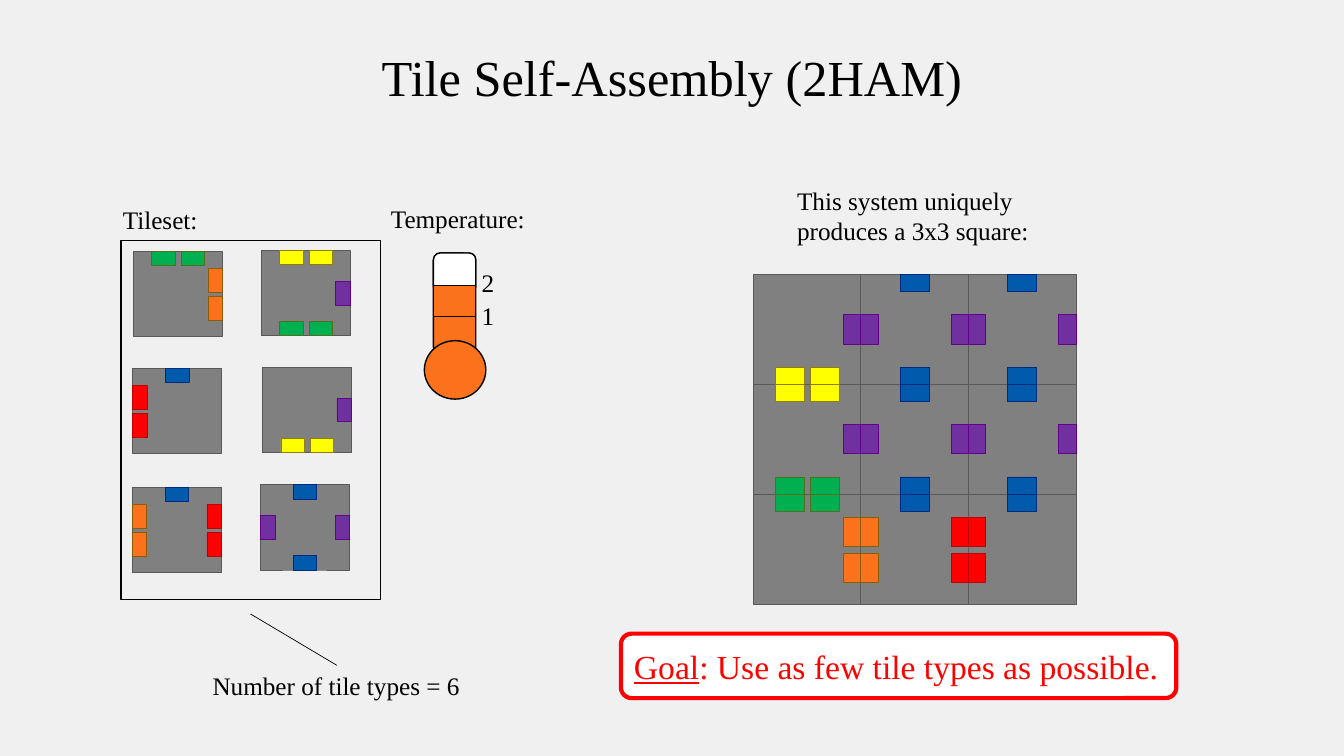
from lxml.etree import SubElement
from pptx import Presentation
from pptx.dml.color import RGBColor
from pptx.enum.shapes import MSO_CONNECTOR, MSO_SHAPE
from pptx.enum.text import MSO_ANCHOR, PP_ALIGN
from pptx.oxml.ns import qn
from pptx.util import Pt

FONT = "Times New Roman"
COLORS = {
    "back": "F0F0F0", "black": "000000", "white": "FFFFFF",
    "tile": "808080", "green": "00B050", "orange": "FC711C",
    "yellow": "FFFF00", "purple": "7030A0", "blue": "015AAB", "red": "FF0000",
}
EDGES = {
    "tile": "595959", "green": "536F1D", "orange": "8A5D02",
    "yellow": "8F7F08", "purple": "64018B", "blue": "002A7E", "red": "C00000",
}
TILES = {
    "corner": {"top": ("green", 2), "right": ("orange", 2)},
    "side": {"top": ("yellow", 2), "right": ("purple", 1), "bottom": ("green", 2)},
    "end": {"top": ("blue", 1), "left": ("red", 2)},
    "peak": {"right": ("purple", 1), "bottom": ("yellow", 2)},
    "base": {"top": ("blue", 1), "left": ("orange", 2), "right": ("red", 2)},
    "fill": {"top": ("blue", 1), "left": ("purple", 1),
             "right": ("purple", 1), "bottom": ("blue", 1)},
}
TILESET = [
    ("corner", 95.2, 179.5), ("side", 186.6, 178.9),
    ("end", 94.8, 263), ("peak", 187.4, 262.2),
    ("base", 94.5, 348), ("fill", 186.1, 346.2),
]
SQUARE = [
    ["peak", "fill", "fill"],
    ["side", "fill", "fill"],
    ["corner", "base", "end"],
]
SMALL = (63.6, 61, 10.3, 16.8)
LARGE = (76.9, 78.55, 12.4, 20.8)
ORIGIN = (538, 196)
SPOTS = {1: (0.5,), 2: (0.34, 0.67)}
LABELS = [
    ("Temperature:", 272.16, 141.84, 110.88, 28.8),
    ("2", 337, 187.2, 23.76, 28.8),
    ("1", 337, 210.96, 23.76, 28.8),
    ("Tileset:", 80.64, 142.56, 68.4, 28.8),
    ("This system uniquely\nproduces a 3x3 square:", 562.32, 128.88, 181.44, 51.12),
    ("Number of tile types = 6", 144.72, 475.2, 192.96, 28.8),
]
GAUGE = [
    (MSO_SHAPE.ROUNDED_RECTANGLE, 309.6, 180.72, 30.24, 72, "orange"),
    (MSO_SHAPE.OVAL, 303.12, 243.36, 43.92, 41.76, "orange"),
    (MSO_SHAPE.ROUNDED_RECTANGLE, 309.6, 180.72, 30.24, 28.8, "white"),
    (MSO_SHAPE.RECTANGLE, 309.6, 203.76, 30.24, 22.32, "orange"),
]
TITLE = ("Tile Self-Assembly (2HAM)", 0, 29.52, 960, 51.12)
GOAL = ("Goal", ": Use as few tile types as possible.")


def color(name):
    return RGBColor.from_string(name)


def draw(slide, kind, x, y, w, h, fill, edge, width):
    shape = slide.shapes.add_shape(kind, Pt(x), Pt(y), Pt(w), Pt(h))
    shape.shadow.inherit = False
    if fill:
        shape.fill.solid()
        shape.fill.fore_color.rgb = color(fill)
    else:
        shape.fill.background()
    shape.line.color.rgb = color(edge)
    shape.line.width = Pt(width)
    return shape


def style(run, size, name):
    run.font.name = FONT
    run.font.size = Pt(size)
    run.font.color.rgb = color(COLORS[name])


def label(slide, text, x, y, w, h, size=18, wrap=False):
    box = slide.shapes.add_textbox(Pt(x), Pt(y), Pt(w), Pt(h))
    box.text_frame.word_wrap = wrap
    para = box.text_frame.paragraphs[0]
    para.text = text
    for run in para.runs:
        style(run, size, "black")
    return para


def block(slide, x, y, w, h, name):
    draw(slide, MSO_SHAPE.RECTANGLE, x, y, w, h, COLORS[name], EDGES[name], 0.5)


def tile(slide, name, x, y, sizes):
    w, h, deep, long = sizes
    block(slide, x, y, w, h, "tile")
    for side, (glue, count) in TILES[name].items():
        for spot in SPOTS[count]:
            if side in ("top", "bottom"):
                top = y if side == "top" else y + h - deep
                block(slide, x + spot * w - long / 2, top, long, deep, glue)
            else:
                left = x if side == "left" else x + w - deep
                block(slide, left, y + spot * h - long / 2, deep, long, glue)


def main():
    """Build the tile assembly slide."""
    deck = Presentation()
    deck.slide_width, deck.slide_height = Pt(960), Pt(540)
    slide = deck.slides.add_slide(deck.slide_layouts[6])
    slide.background.fill.solid()
    slide.background.fill.fore_color.rgb = color(COLORS["back"])

    black = COLORS["black"]
    for kind, x, y, w, h, name in GAUGE:
        draw(slide, kind, x, y, w, h, COLORS[name], black, 1)
    draw(slide, MSO_SHAPE.RECTANGLE, 86.4, 171.9, 185.6, 256.4, None, black, 1)
    for item in LABELS:
        label(slide, *item)
    label(slide, *TITLE, size=36, wrap=True).alignment = PP_ALIGN.CENTER

    line = slide.shapes.add_connector(
        MSO_CONNECTOR.STRAIGHT, Pt(179), Pt(438.6), Pt(240.6), Pt(475.2))
    line.line.color.rgb = color(black)
    line.line.width = Pt(0.5)
    SubElement(line._element.spPr, qn("a:effectLst"))

    for name, x, y in TILESET:
        tile(slide, name, x, y, SMALL)
    for row, names in enumerate(SQUARE):
        for col, name in enumerate(names):
            x = ORIGIN[0] + col * LARGE[0]
            y = ORIGIN[1] + row * LARGE[1]
            tile(slide, name, x, y, LARGE)

    goal = draw(slide, MSO_SHAPE.ROUNDED_RECTANGLE, 443.52, 452.6, 396.72, 46.08,
                COLORS["white"], COLORS["red"], 3)
    frame = goal.text_frame
    frame.word_wrap = True
    frame.vertical_anchor = MSO_ANCHOR.MIDDLE
    para = frame.paragraphs[0]
    para.alignment = PP_ALIGN.LEFT
    for text in GOAL:
        run = para.add_run()
        run.text = text
        style(run, 24, "red")
    para.runs[0].font.underline = True
    deck.save("out.pptx")


if __name__ == "__main__":
    main()
